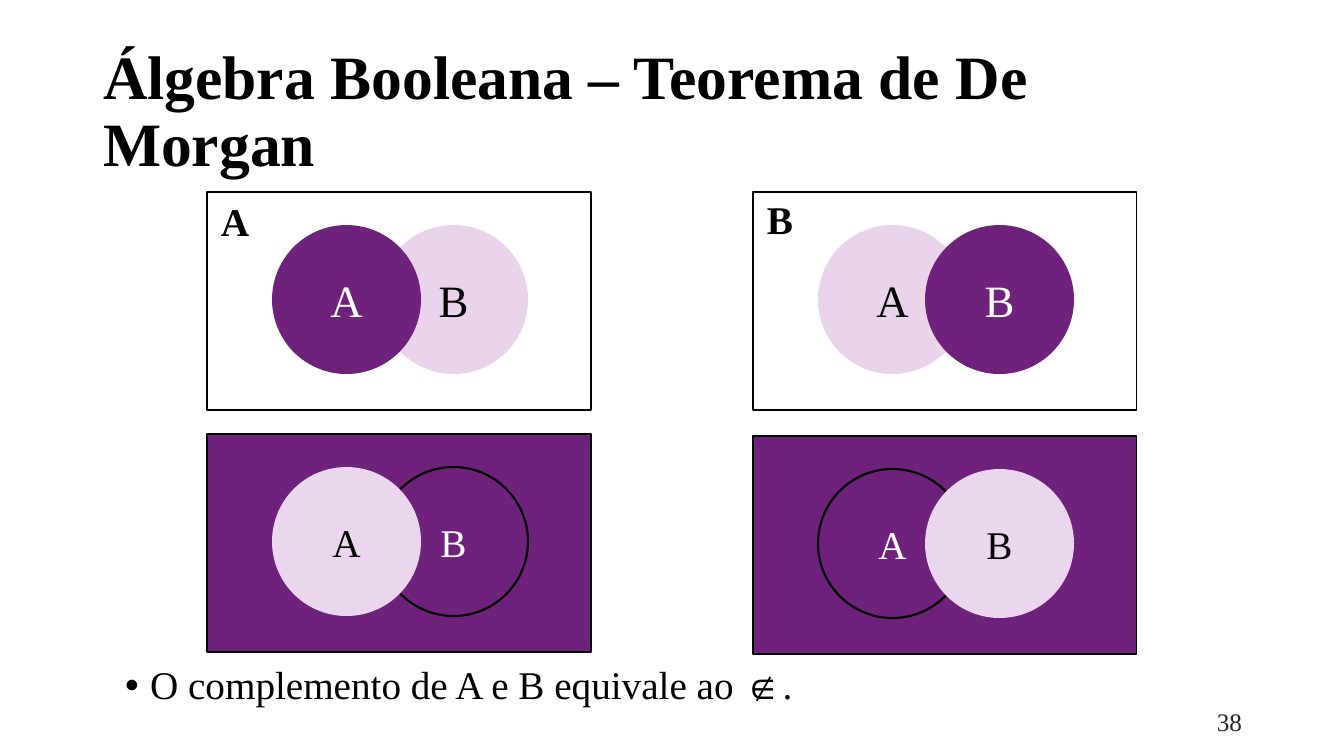
from lxml.etree import SubElement
from pptx import Presentation
from pptx.dml.color import RGBColor
from pptx.enum.shapes import MSO_SHAPE as Shape
from pptx.enum.text import MSO_ANCHOR as Anchor, MSO_AUTO_SIZE as AutoSize, PP_ALIGN as Align
from pptx.oxml.ns import qn
from pptx.util import Emu, Pt

TITLE = "Álgebra Booleana – Teorema de De Morgan"
STATEMENT = "O complemento de A e B equivale ao ∉."
PAGE_NUMBER = "38"
FONT = "Times New Roman"
BLACK, WHITE, GREY = "000000", "FFFFFF", "262626"
PURPLE, LILAC, PALE = "6F227C", "D7B1DD", "EAD7ED"

STYLES = {
    "set": dict(fill=PURPLE, ink=WHITE, size=32),
    "faded": dict(fill=LILAC, ink=BLACK, size=32, opacity=55),
    "outside": dict(fill=PURPLE, ink=WHITE, size=28, line=1.5),
    "excluded": dict(fill=PALE, ink=BLACK, size=28),
}
PANELS = [
    (207, 192, None, [("B", "faded"), ("A", "set")]),
    (753, 192, None, [("A", "faded"), ("B", "set")]),
    (207, 434, PURPLE, [("B", "outside"), ("A", "excluded")]),
    (753, 436, PURPLE, [("A", "outside"), ("B", "excluded")]),
]
CORNER_LABELS = [("A", 211, 192), ("B", 757, 190)]
FRAME_WIDTH, FRAME_HEIGHT = 384, 218
CIRCLE = 149
CIRCLE_TOP = 33
CIRCLE_LEFT = {"A": 65, "B": 172}


def px(length):
    return Emu(round(length * 914400 / 100.8))


def colour(code):
    return RGBColor.from_string(code)


def write(box, text, size, ink, bold=False, align=Align.LEFT, anchor=Anchor.TOP):
    frame = box.text_frame
    frame.word_wrap = True
    frame.auto_size = AutoSize.NONE
    frame.vertical_anchor = anchor
    para = frame.paragraphs[0]
    para.alignment = align
    span = para.add_run()
    span.text = text
    span.font.name = FONT
    span.font.size = Pt(size)
    span.font.bold = bold
    span.font.color.rgb = colour(ink)
    return para


def place(box, left, top, width, height):
    box.left, box.top, box.width, box.height = map(px, (left, top, width, height))


def add_figure(page, kind, bounds, fill=None, line=None, opacity=None):
    figure = page.shapes.add_shape(kind, *map(px, bounds))
    figure.shadow.inherit = False
    if fill:
        figure.fill.solid()
        figure.fill.fore_color.rgb = colour(fill)
    else:
        figure.fill.background()
    if opacity:
        tint = figure.fill._xPr.find(qn("a:solidFill"))[0]
        SubElement(tint, qn("a:alpha"), val=str(opacity * 1000))
    if line:
        figure.line.color.rgb = colour(BLACK)
        figure.line.width = Pt(line)
    else:
        figure.line.fill.background()
    return figure


def add_circle(page, bounds, name, fill, ink, size, line=None, opacity=None):
    circle = add_figure(page, Shape.OVAL, bounds, fill, line, opacity)
    write(circle, name, size, ink, align=Align.CENTER, anchor=Anchor.MIDDLE)


def add_panel(page, left, top, fill, circles):
    add_figure(page, Shape.RECTANGLE, (left, top, FRAME_WIDTH, FRAME_HEIGHT), fill, 0.85)
    for name, style in circles:
        bounds = (left + CIRCLE_LEFT[name], top + CIRCLE_TOP, CIRCLE, CIRCLE)
        add_circle(page, bounds, name, **STYLES[style])


def main():
    deck = Presentation()
    deck.slide_width, deck.slide_height = px(1344), px(756)
    page = deck.slides.add_slide(deck.slide_layouts[1])

    title = page.shapes.title
    place(title, 93, 40, 1159, 146)
    write(title, TITLE, 44, BLACK, bold=True, anchor=Anchor.MIDDLE).line_spacing = 0.9

    body = page.placeholders[1]
    place(body, 115, 661, 1148, 95)
    properties = body.text_frame.paragraphs[0]._p.get_or_add_pPr()
    properties.set("marL", str(px(25)))
    properties.set("indent", str(-px(25)))
    SubElement(properties, qn("a:buFont"), typeface="Arial")
    SubElement(properties, qn("a:buChar"), char="•")
    para = write(body, STATEMENT, 28, BLACK, align=Align.JUSTIFY)
    para.line_spacing = 0.9
    para.space_before = Pt(0)

    for panel in PANELS:
        add_panel(page, *panel)

    for name, left, top in CORNER_LABELS:
        label = page.shapes.add_textbox(*map(px, (left, top, 56, 57)))
        write(label, name, 28, BLACK, bold=True)

    number = page.shapes.add_textbox(*map(px, (950, 701, 302, 40)))
    write(number, PAGE_NUMBER, 18, GREY, align=Align.RIGHT, anchor=Anchor.MIDDLE)

    deck.save("out.pptx")


if __name__ == "__main__":
    main()
